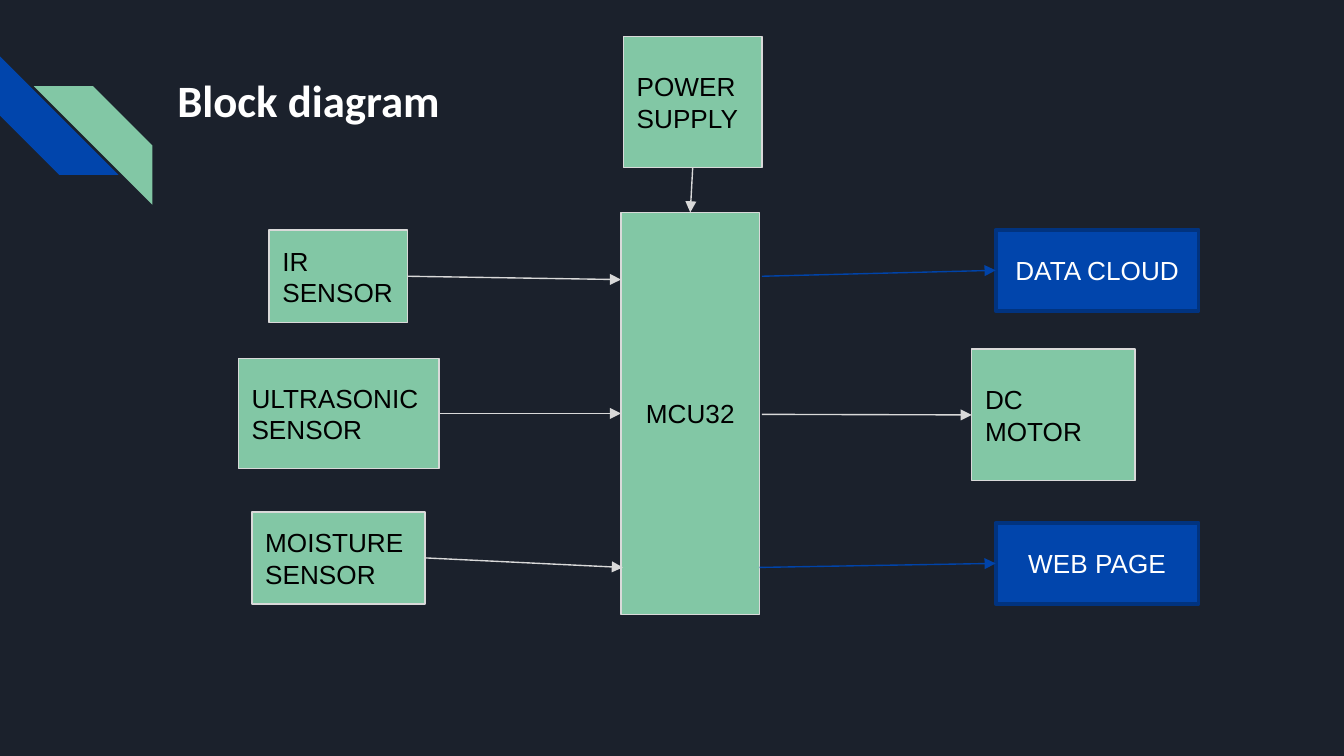
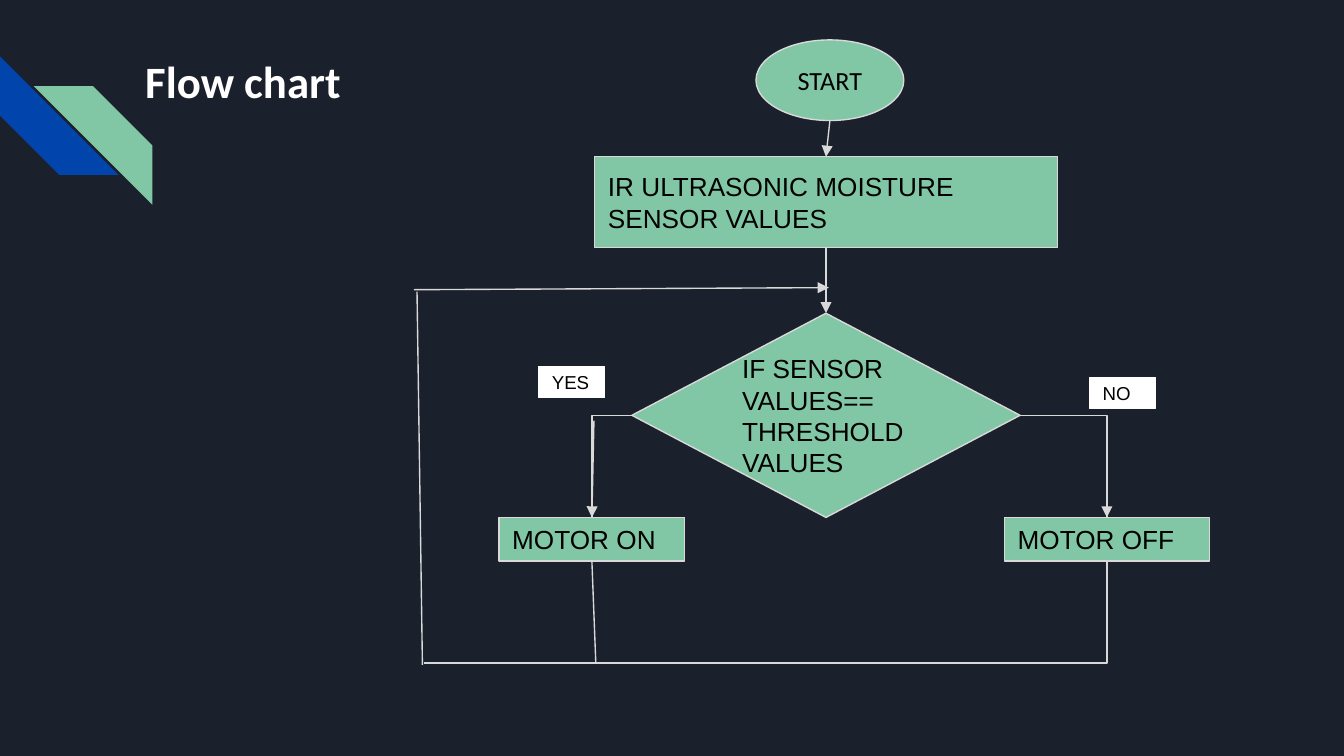
from lxml import etree
from pptx import Presentation
from pptx.dml.color import RGBColor
from pptx.enum.shapes import MSO_CONNECTOR, MSO_SHAPE
from pptx.enum.text import MSO_ANCHOR, MSO_AUTO_SIZE, PP_ALIGN
from pptx.oxml.ns import qn
from pptx.util import Pt

RECT = MSO_SHAPE.RECTANGLE
OVAL = MSO_SHAPE.FLOWCHART_CONNECTOR
DECISION = MSO_SHAPE.FLOWCHART_DECISION
STRIPE = MSO_SHAPE.DIAGONAL_STRIPE
STRAIGHT = MSO_CONNECTOR.STRAIGHT
ELBOW = MSO_CONNECTOR.ELBOW
LEFT_ALIGN = PP_ALIGN.LEFT
CENTER = PP_ALIGN.CENTER
TOP_ANCHOR = MSO_ANCHOR.TOP
MIDDLE = MSO_ANCHOR.MIDDLE
NO_FIT = MSO_AUTO_SIZE.NONE

TOP, LEFT, BOTTOM, RIGHT = range(4)
NAVY = "1B212C"
BLUE = "0145AC"
DARK_BLUE = "01337F"
ARROW_BLUE = "0043A9"
GREEN = "82C7A5"
GREY = "D9D9D9"
WHITE = "FFFFFF"
BLACK = "000000"
INSET = 7.2


def color(value):
    return RGBColor.from_string(value)


def fill_solid(fill, value):
    fill.solid()
    fill.fore_color.rgb = color(value)


def set_insets(frame, horizontal, vertical):
    frame.margin_left = frame.margin_right = Pt(horizontal)
    frame.margin_top = frame.margin_bottom = Pt(vertical)


def format_text(frame, size, ink, font="Arial", align=LEFT_ALIGN, bold=False):
    frame.word_wrap = True
    for paragraph in frame.paragraphs:
        paragraph.alignment = align
        paragraph.font.size = Pt(size)
        paragraph.font.name = font
        paragraph.font.bold = bold
        paragraph.font.color.rgb = color(ink)


def add_plain(slide, kind, box, fill):
    shape = slide.shapes.add_shape(kind, *map(Pt, box))
    shape.shadow.inherit = False
    fill_solid(shape.fill, fill)
    return shape


def add_block(slide, text, box, kind=RECT, fill=GREEN, outline=GREY, weight=0.75,
              size=14, ink=BLACK, font="Arial", align=LEFT_ALIGN, inset=INSET):
    block = add_plain(slide, kind, box, fill)
    block.line.color.rgb = color(outline)
    block.line.width = Pt(weight)
    frame = block.text_frame
    frame.text = text
    frame.vertical_anchor = MIDDLE
    set_insets(frame, INSET, inset)
    format_text(frame, size, ink, font, align)
    return block


def add_output(slide, text, box):
    return add_block(slide, text, box, fill=BLUE, outline=DARK_BLUE, weight=2,
                     ink=WHITE, align=CENTER, inset=3.6)


def add_label(slide, text, left, top):
    add_block(slide, text, (left, top, 35.3, 16.6), fill=WHITE, outline=WHITE, size=10)


def add_link(slide, start, end, ink=GREY, arrow=True, bent=False):
    points = [(0, 0) if isinstance(stop[0], tuple) or hasattr(stop[0], "shape_id") else stop
              for stop in (start, end)]
    link = slide.shapes.add_connector(
        ELBOW if bent else STRAIGHT, *(Pt(value) for point in points for value in point))
    for stop, join in ((start, link.begin_connect), (end, link.end_connect)):
        if hasattr(stop[0], "shape_id"):
            join(*stop)
    link.line.color.rgb = color(ink)
    link.line.width = Pt(0.75)
    properties = link.element.spPr
    if bent:
        properties.find(qn("a:prstGeom")).set("prst", "bentConnector2")
    if arrow:
        etree.SubElement(properties.find(qn("a:ln")), qn("a:tailEnd"), type="triangle")
    etree.SubElement(properties, qn("a:effectLst"))


def add_titled_slide(prs, title, box):
    slide = prs.slides.add_slide(prs.slide_layouts[5])
    heading = slide.shapes.title
    heading.left, heading.top, heading.width, heading.height = map(Pt, box)
    frame = heading.text_frame
    frame.text = title
    frame.auto_size = NO_FIT
    frame.vertical_anchor = TOP_ANCHOR
    set_insets(frame, INSET, INSET)
    format_text(frame, 24, WHITE, "Calibri", bold=True)
    return slide


def decorate_master(prs, slide):
    master = prs.slide_master
    fill_solid(master.background.fill, NAVY)
    blue = add_plain(slide, STRIPE, (0, 30.2, 63.5, 63.5), BLUE)
    blue.rotation = 270
    green = add_plain(slide, STRIPE, (18.2, 46.2, 63.5, 63.5), GREEN)
    green.element.spPr.find(qn("a:xfrm")).set("flipH", "1")
    for number, stripe in enumerate((blue, green), 101):
        stripe.line.fill.background()
        stripe.element.nvSpPr.cNvPr.set("id", str(number))
        master.shapes.element.append(stripe.element)


def build_block_diagram(prs):
    slide = add_titled_slide(prs, "Block diagram", (87.8, 31.7, 554.4, 72))
    decorate_master(prs, slide)
    controller = add_block(slide, "MCU32", (332.7, 113.8, 74.2, 215.4), align=CENTER)
    moisture = add_block(slide, "MOISTURE SENSOR", (135, 274.2, 92.8, 49.4))
    ultrasonic = add_block(slide, "ULTRASONIC\nSENSOR", (127.7, 192, 107.5, 59))
    infrared = add_block(slide, "IR SENSOR", (144.2, 123.3, 74.2, 49.4))
    motor = add_block(slide, "DC MOTOR", (520.6, 187.1, 87.5, 70.4))
    power = add_block(slide, "POWER\nSUPPLY", (334, 19.5, 74.2, 70.4))
    web_page = add_output(slide, "WEB PAGE", (533.4, 280.1, 108.7, 43.5))
    cloud = add_output(slide, "DATA CLOUD", (533.4, 123.1, 108.7, 43.5))

    add_link(slide, (infrared, RIGHT), (332.7, 149.8))
    add_link(slide, (ultrasonic, RIGHT), (controller, LEFT))
    add_link(slide, (moisture, RIGHT), (333.7, 304))
    add_link(slide, (408.2, 222), (motor, LEFT))
    add_link(slide, (power, BOTTOM), (controller, TOP))
    add_link(slide, (408.2, 148), (cloud, LEFT), ARROW_BLUE)
    add_link(slide, (406.9, 304), (web_page, LEFT), ARROW_BLUE)


def build_flow_chart(prs):
    slide = add_titled_slide(prs, "Flow chart", (70.6, 21.6, 308.2, 59.8))
    add_block(slide, "START", (405, 21.4, 79.2, 43.2), OVAL, font="Calibri", align=CENTER)
    readings = add_block(slide, "IR ULTRASONIC MOISTURE SENSOR VALUES",
                         (318.6, 84, 247.8, 48.7))
    check = add_block(slide, "IF SENSOR VALUES==\nTHRESHOLD VALUES",
                      (338.5, 167.8, 208, 109.4), DECISION)
    motor_on = add_block(slide, "MOTOR ON", (267.3, 277.2, 99.6, 23.4))
    motor_off = add_block(slide, "MOTOR OFF", (538.1, 277.2, 109.8, 23.4))
    add_label(slide, "YES", 288.6, 196.4)
    add_label(slide, "NO", 583.6, 202.3)

    add_link(slide, (444.6, 64.6), (readings, TOP))
    add_link(slide, (readings, BOTTOM), (check, TOP))
    for side, outcome, branch_start in ((LEFT, motor_on, (318.2, 225.4)),
                                        (RIGHT, motor_off, (593, 223.2))):
        add_link(slide, (check, side), (outcome, TOP), arrow=False, bent=True)
        add_link(slide, branch_start, (outcome, TOP))

    return_y = 355.1
    add_link(slide, (318.2, return_y), (motor_off, BOTTOM), arrow=False, bent=True)
    add_link(slide, (motor_on, BOTTOM), (319.2, return_y), arrow=False)
    add_link(slide, (320.4, return_y), (227.2, return_y), arrow=False)
    add_link(slide, (223.4, 156.2), (226.3, 356.2), arrow=False)
    add_link(slide, (221.8, 155.2), (444, 154.1))


def main():
    prs = Presentation()
    prs.slide_width, prs.slide_height = Pt(720), Pt(405)
    build_block_diagram(prs)
    build_flow_chart(prs)
    prs.save("out.pptx")


if __name__ == "__main__":
    main()
